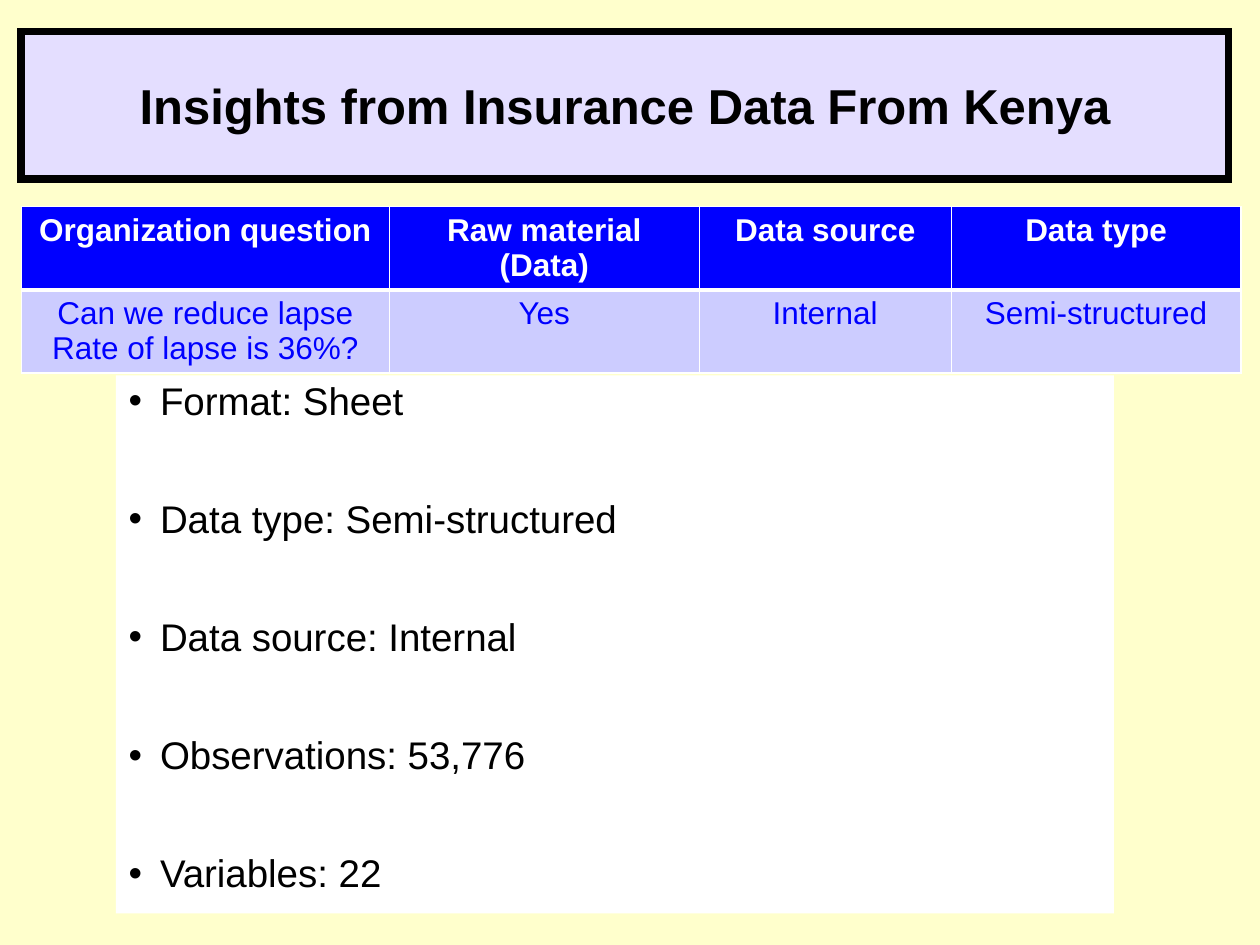
from lxml import etree
from pptx import Presentation
from pptx.dml.color import RGBColor
from pptx.enum.text import MSO_ANCHOR, MSO_AUTO_SIZE, PP_ALIGN
from pptx.oxml.ns import qn
from pptx.util import Inches, Pt

CENTER, LEFT = PP_ALIGN.CENTER, PP_ALIGN.LEFT
MIDDLE, TOP = MSO_ANCHOR.MIDDLE, MSO_ANCHOR.TOP
NO_AUTOFIT = MSO_AUTO_SIZE.NONE

TITLE = "Insights from Insurance Data From Kenya"
COLUMN_WIDTHS = [2.92, 2.46, 2, 2.3]
QUESTION_ROWS = [
    ["Organization question", "Raw material (Data)", "Data source", "Data type"],
    ["Can we reduce lapse\nRate of lapse is 36%?", "Yes", "Internal", "Semi-structured"],
]
DATA_FACTS = [
    "Format: Sheet",
    "Data type: Semi-structured",
    "Data source: Internal",
    "Observations: 53,776",
    "Variables: 22",
]
HEADER_FORMAT = {"size": Pt(18), "bold": True, "name": "Arial"}
ANSWER_FORMAT = {"size": Pt(18), "bold": False, "name": "Arial"}


def paint(fill, color):
    fill.solid()
    fill.fore_color.rgb = RGBColor.from_string(color)


def format_font(font, color, values):
    for attribute, value in values.items():
        setattr(font, attribute, value)
    font.color.rgb = RGBColor.from_string(color)


def place(part, box):
    part.left, part.top, part.width, part.height = (Inches(side) for side in box)


def add_bullet(paragraph, indent):
    properties = paragraph._p.get_or_add_pPr()
    properties.set("marL", str(Inches(indent)))
    properties.set("indent", str(-Inches(indent)))
    etree.SubElement(properties, qn("a:buFont"), typeface="Arial")
    etree.SubElement(properties, qn("a:buChar"), char="•")


def set_borders(cell, color, widths):
    """Draw cell borders; widths maps side letters L, R, T, B to points."""
    properties = cell._tc.get_or_add_tcPr()
    for index, (side, width) in enumerate(widths.items()):
        border = etree.Element(qn(f"a:ln{side}"), w=str(Pt(width)))
        solid = etree.SubElement(border, qn("a:solidFill"))
        etree.SubElement(solid, qn("a:srgbClr"), val=color)
        properties.insert(index, border)


def build_title(slide, box):
    title = slide.shapes.title
    place(title, box)
    paint(title.fill, "E4DEFF")
    paint(title.line.fill, "000000")
    title.line.width = Pt(4.5)
    outline = title._element.spPr.find(qn("a:ln"))
    etree.SubElement(outline, qn("a:miter"), lim="800000")
    frame = title.text_frame
    frame.text = TITLE
    frame.auto_size = NO_AUTOFIT
    frame.vertical_anchor = MIDDLE
    heading = frame.paragraphs[0]
    heading.alignment = CENTER
    format_font(heading.font, "000000", {"size": Pt(28), "bold": True, "name": "Arial"})


def build_question_table(slide, box):
    left, top, width, height = (Inches(side) for side in box)
    table = slide.shapes.add_table(
        len(QUESTION_ROWS), len(COLUMN_WIDTHS), left, top, width, height
    ).table
    for column, column_width in zip(table.columns, COLUMN_WIDTHS):
        column.width = Inches(column_width)
    styles = [
        ("0000FF", "FFFFFF", HEADER_FORMAT, {"L": 1, "R": 1, "T": 1, "B": 3}),
        ("CCCCFF", "0000FF", ANSWER_FORMAT, {"L": 1, "R": 1, "T": 3, "B": 1}),
    ]
    for row, texts, (fill, color, values, borders) in zip(table.rows, QUESTION_ROWS, styles):
        for cell, text in zip(row.cells, texts):
            cell.text = text
            paint(cell.fill, fill)
            set_borders(cell, "FFFFFF", borders)
            for paragraph in cell.text_frame.paragraphs:
                paragraph.alignment = CENTER
                format_font(paragraph.font, color, values)


def build_data_facts(slide, box):
    facts = slide.placeholders[1]
    place(facts, box)
    paint(facts.fill, "FFFFFF")
    frame = facts.text_frame
    frame.text = "\n".join(DATA_FACTS)
    frame.auto_size = NO_AUTOFIT
    frame.vertical_anchor = TOP
    for index, paragraph in enumerate(frame.paragraphs):
        add_bullet(paragraph, 0.25)
        paragraph.alignment = LEFT
        paragraph.line_spacing = 0.9
        paragraph.space_before = Pt(43.8 if index else 0)
        format_font(paragraph.font, "000000", {"size": Pt(22), "name": "Arial"})


def main():
    presentation = Presentation()
    presentation.slide_width, presentation.slide_height = Inches(10), Inches(7.5)
    slide = presentation.slides.add_slide(presentation.slide_layouts[1])
    paint(slide.background.fill, "FFFFCC")
    build_title(slide, (0.17, 0.25, 9.58, 1.17))
    build_question_table(slide, (0.17, 1.64, 9.68, 1.32))
    build_data_facts(slide, (0.92, 2.98, 7.92, 4.27))
    presentation.save("out.pptx")


if __name__ == "__main__":
    main()
